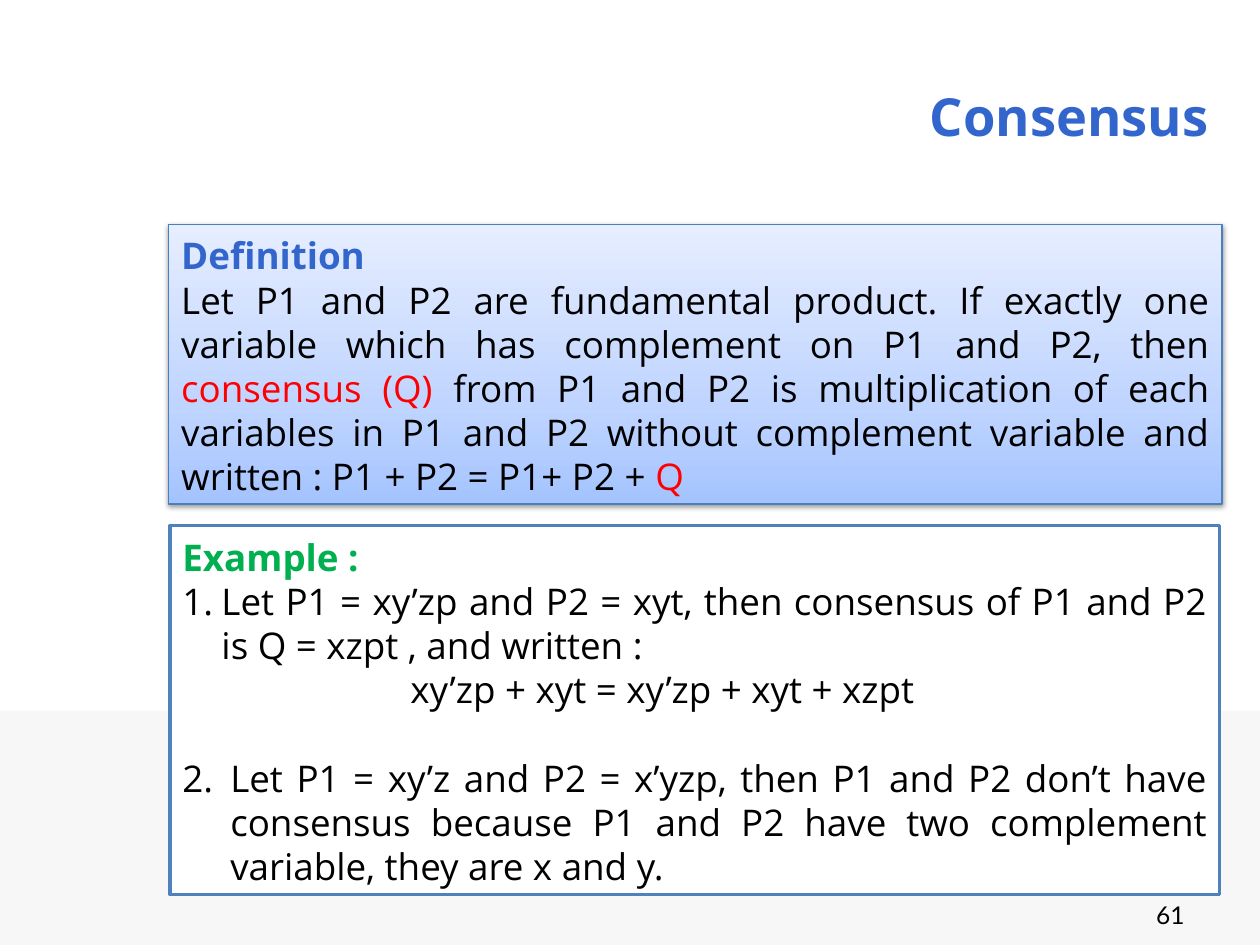
import pptx
import pptx.util
import pptx.dml.color
import pptx.enum.shapes
import pptx.enum.text
import pptx.oxml
from pptx.util import Inches

ALIGN = pptx.enum.text.PP_ALIGN
ANCHOR = pptx.enum.text.MSO_ANCHOR
NS = 'xmlns:a="http://schemas.openxmlformats.org/drawingml/2006/main"'
THEME = {
    "font": "Open Sans", "number_font": "Lato",
    "title": 30, "body": 21, "number": 14, "line_pitch": 25.25,
    "blue": "3366CC", "green": "00B050", "red": "FF0000", "black": "000000",
    "white": "FFFFFF", "band": "F7F7F7",
    "definition_line": "4B7EBC", "example_line": "4F81BD",
    "gradient": [(0, "A4C4FF"), (35, "BFD4FF"), (100, "E6EEFF")],
}


def rgb(name):
    return pptx.dml.color.RGBColor.from_string(THEME[name])


def add_text(p, runs, size="body", font="font"):
    """Add (text, colour, bold) runs to a paragraph."""
    for text, color, bold in runs:
        r = p.add_run()
        r.text = text
        style = {"name": THEME[font], "size": pptx.util.Pt(THEME[size]), "bold": bold}
        for key, value in style.items():
            setattr(r.font, key, value)
        r.font.color.rgb = rgb(color)


prs = pptx.Presentation()
prs.slide_width, prs.slide_height = Inches(10), Inches(7.5)
s = prs.slides.add_slide(prs.slide_layouts[6])

# Rectangles: footer band, definition box, example box
rectangles = [
    ((0, 5.64, 10, 1.86), "band", None, 0),
    ((1.34, 1.78, 8.36, 2.22), "white", "definition_line", 0.75),
    ((1.35, 4.17, 8.33, 2.93), "white", "example_line", 2),
]
boxes = []
for place, fill, line, width in rectangles:
    sp = s.shapes.add_shape(pptx.enum.shapes.MSO_SHAPE.RECTANGLE, *map(Inches, place))
    sp.shadow.inherit = False
    sp.fill.solid()
    sp.fill.fore_color.rgb = rgb(fill)
    if line:
        sp.line.color.rgb = rgb(line)
        sp.line.width = pptx.util.Pt(width)
    else:
        sp.line.fill.background()
    boxes.append(sp)
band, definition, example = boxes

# Gradient and soft shadow of the definition box
stops = "".join(f'<a:gs pos="{pos * 1000}"><a:srgbClr val="{color}"/></a:gs>'
                for pos, color in THEME["gradient"])
props = definition.element.spPr
props.replace(props.find(pptx.oxml.ns.qn("a:solidFill")), pptx.oxml.parse_xml(
    f'<a:gradFill {NS} rotWithShape="1"><a:gsLst>{stops}</a:gsLst>'
    '<a:lin ang="16200000" scaled="0"/></a:gradFill>'))
props.find(pptx.oxml.ns.qn("a:effectLst")).append(pptx.oxml.parse_xml(
    f'<a:outerShdw {NS} blurRad="39400" dist="20300" dir="5400000" rotWithShape="0">'
    '<a:srgbClr val="000000"><a:alpha val="38000"/></a:srgbClr></a:outerShdw>'))

# Title and slide number
labels = [
    ((0.69, 0.29, 9, 1.25), "Consensus", "blue", True, "title", "font"),
    ((7.17, 7.06, 2.33, 0.4), "61", "black", False, "number", "number_font"),
]
for place, text, color, bold, size, font in labels:
    tf = s.shapes.add_textbox(*map(Inches, place)).text_frame
    tf.word_wrap = True
    tf.vertical_anchor = ANCHOR.MIDDLE
    tf.paragraphs[0].alignment = ALIGN.RIGHT
    add_text(tf.paragraphs[0], [(text, color, bold)], size, font)

# Each paragraph: runs, left margin, first-line indent, list number, space before
contents = [
    (definition, [
        ([("Definition", "blue", True)], 0, 0, None, 0),
        ([("Let P1 and P2 are fundamental product. If exactly one variable which has "
           "complement on P1 and P2, then ", "black", False),
          ("consensus (Q)", "red", False),
          (" from P1 and P2 is multiplication of each variables in P1 and P2 without "
           "complement variable and written : P1 + P2 = P1+ P2 +", "black", False),
          (" Q", "red", False)], 0, 0, None, 0),
    ]),
    (example, [
        ([("Example :", "green", True)], 0, 0, None, 0),
        ([("Let P1 = xy’zp and P2 = xyt, then consensus of P1 and P2 is Q = xzpt , "
           "and written :", "black", False)], 0.31, -0.31, 1, 0),
        ([("xy’zp + xyt = xy’zp + xyt + xzpt", "black", False)], 1.81, 0, None, 0),
        ([("Let P1 = xy’z and P2 = x’yzp, then P1 and P2 don’t have consensus because "
           "P1 and P2 have two complement variable, they are x and y.",
           "black", False)], 0.38, -0.38, 2, THEME["line_pitch"]),
    ]),
]
for box, paragraphs in contents:
    tf = box.text_frame
    tf.word_wrap = True
    tf.vertical_anchor = ANCHOR.TOP
    tf.margin_top = Inches(0.07)
    for i, (runs, margin, indent, number, before) in enumerate(paragraphs):
        p = tf.add_paragraph() if i else tf.paragraphs[0]
        p.alignment = ALIGN.JUSTIFY
        p.line_spacing = pptx.util.Pt(THEME["line_pitch"])
        if before:
            p.space_before = pptx.util.Pt(before)
        pPr = p._p.get_or_add_pPr()
        pPr.set("marL", str(Inches(margin)))
        pPr.set("indent", str(Inches(indent)))
        if number:
            pPr.append(pptx.oxml.parse_xml(
                f'<a:buAutoNum {NS} type="arabicPeriod" startAt="{number}"/>'))
        add_text(p, runs)

prs.save("out.pptx")
